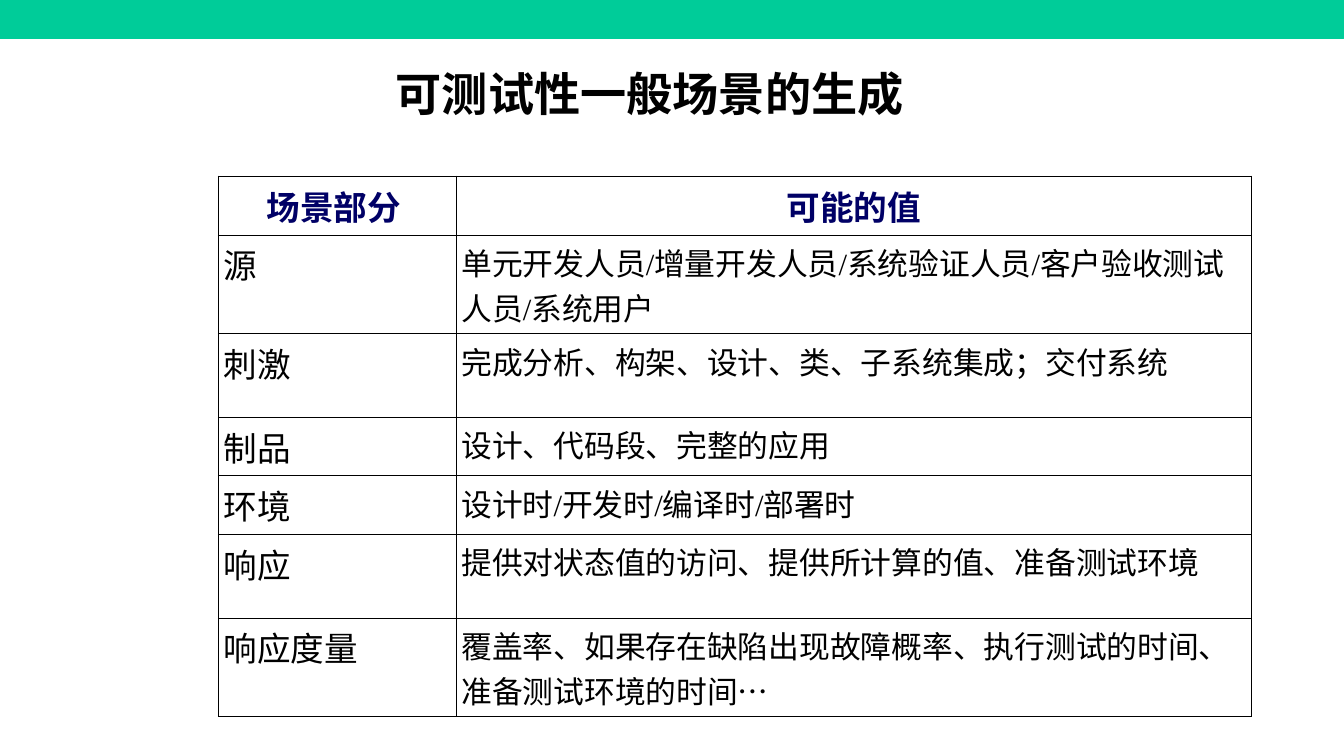
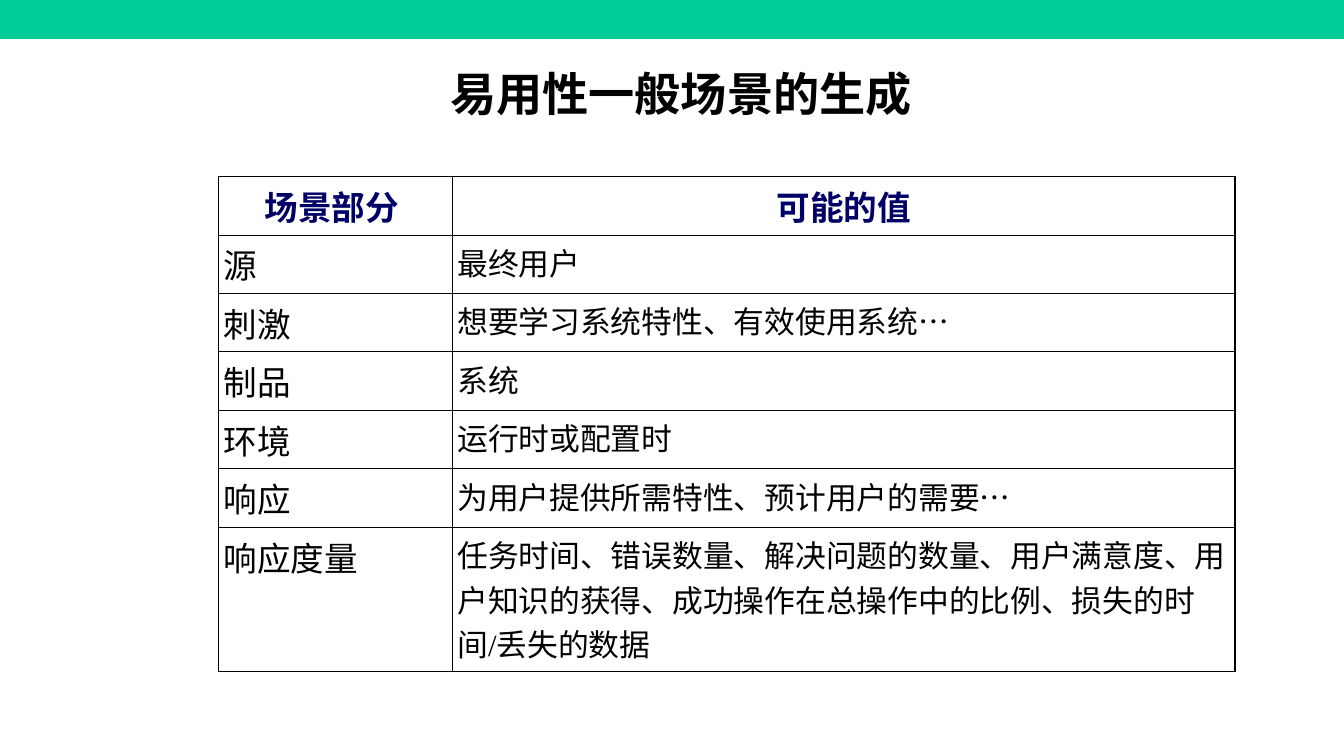
from lxml.etree import SubElement
from pptx import Presentation
from pptx.dml.color import RGBColor
from pptx.enum.shapes import MSO_SHAPE as Preset
from pptx.enum.text import MSO_ANCHOR as Anchor, PP_ALIGN as Align
from pptx.oxml.ns import qn
from pptx.util import Inches, Pt

FONT = "Times New Roman"
GREEN, NAVY, BLACK = "00CC99", "000066", "000000"
SLIDE_WIDTH, SLIDE_HEIGHT = 13.34, 7.5
TABLE_LEFT, TABLE_TOP = 2.17, 1.75
CELL_MARGIN = Inches(0.05)
INNER_LINE, OUTER_LINE = Pt(0.45), Pt(1.08)
SINGLE, ROOMY, DOUBLE, TRIPLE = 0.58, 0.83, 0.98, 1.43

HEADER = ("场景部分 ", "可能的值")
PARTS = ("源", "刺激", "制品", "环境", "响应", "响应度量")

SCENARIOS = [
    {
        "title": "可测试性一般场景的生成",
        "title_left": 0.45,
        "columns": (2.36, 7.89),
        "rows": (SINGLE, DOUBLE, ROOMY, SINGLE, SINGLE, ROOMY, DOUBLE),
        "values": (
            "单元开发人员/增量开发人员/系统验证人员/客户验收测试人员/系统用户",
            "完成分析、构架、设计、类、子系统集成；交付系统",
            "设计、代码段、完整的应用",
            "设计时/开发时/编译时/部署时",
            "提供对状态值的访问、提供所计算的值、准备测试环境",
            "覆盖率、如果存在缺陷出现故障概率、执行测试的时间、准备测试环境的时间…",
        ),
    },
    {
        "title": "易用性一般场景的生成",
        "title_left": 0.76,
        "columns": (2.32, 7.77),
        "rows": (SINGLE,) * 6 + (TRIPLE,),
        "values": (
            "最终用户",
            "想要学习系统特性、有效使用系统…",
            "系统",
            "运行时或配置时",
            "为用户提供所需特性、预计用户的需要…",
            "任务时间、错误数量、解决问题的数量、用户满意度、用户知识的获得、"
            "成功操作在总操作中的比例、损失的时间/丢失的数据",
        ),
    },
]


def rgb(value):
    return RGBColor.from_string(value)


def write(text_frame, text, size, color=BLACK, bold=False, align=Align.LEFT):
    text_frame.word_wrap = True
    paragraph = text_frame.paragraphs[0]
    paragraph.alignment = align
    run = paragraph.add_run()
    run.text = text
    run.font.name = FONT
    run.font.size = Pt(size)
    run.font.bold = bold
    run.font.color.rgb = rgb(color)


def add_band(slide):
    band = slide.shapes.add_shape(
        Preset.RECTANGLE, 0, 0, Inches(SLIDE_WIDTH), Inches(0.38))
    band.shadow.inherit = False
    band.fill.solid()
    band.fill.fore_color.rgb = rgb(GREEN)
    band.line.color.rgb = rgb(GREEN)
    band.line.width = Pt(0.75)


def add_title(slide, text, left):
    title = slide.shapes.add_textbox(
        Inches(left), Inches(0.6), Inches(12), Inches(1.25))
    write(title.text_frame, text, 33, bold=True, align=Align.CENTER)


def set_borders(cell, outer_sides):
    properties = cell._tc.get_or_add_tcPr()
    for side in "LRTB":
        width = OUTER_LINE if side in outer_sides else INNER_LINE
        line = SubElement(properties, qn(f"a:ln{side}"), w=str(int(width)))
        fill = SubElement(line, qn("a:solidFill"))
        SubElement(fill, qn("a:srgbClr"), val=BLACK)


def format_cell(cell, outer_sides):
    cell.margin_left = cell.margin_right = CELL_MARGIN
    cell.margin_top = cell.margin_bottom = CELL_MARGIN
    cell.vertical_anchor = Anchor.TOP
    set_borders(cell, outer_sides)
    cell.fill.background()


def add_scenario_table(slide, columns, rows, values):
    content = [HEADER, *zip(PARTS, values)]
    table = slide.shapes.add_table(
        len(rows), len(columns), Inches(TABLE_LEFT), Inches(TABLE_TOP),
        Inches(sum(columns)), Inches(sum(rows))).table
    table.first_row = table.horz_banding = False
    for column, width in zip(table.columns, columns):
        column.width = Inches(width)
    for row_index, (row, height) in enumerate(zip(table.rows, rows)):
        row.height = Inches(height)
        for column_index, cell in enumerate(row.cells):
            outer_sides = "LR"[column_index]
            if row_index == 0:
                outer_sides += "T"
            if row_index == len(rows) - 1:
                outer_sides += "B"
            format_cell(cell, outer_sides)
            text = content[row_index][column_index]
            if row_index == 0:
                write(cell.text_frame, text, 24, NAVY, True, Align.CENTER)
            else:
                write(cell.text_frame, text, (24, 22)[column_index])


def main():
    presentation = Presentation()
    presentation.slide_width = Inches(SLIDE_WIDTH)
    presentation.slide_height = Inches(SLIDE_HEIGHT)
    for scenario in SCENARIOS:
        slide = presentation.slides.add_slide(presentation.slide_layouts[6])
        add_band(slide)
        add_title(slide, scenario["title"], scenario["title_left"])
        add_scenario_table(
            slide, scenario["columns"], scenario["rows"], scenario["values"])
    presentation.save("out.pptx")


if __name__ == "__main__":
    main()
